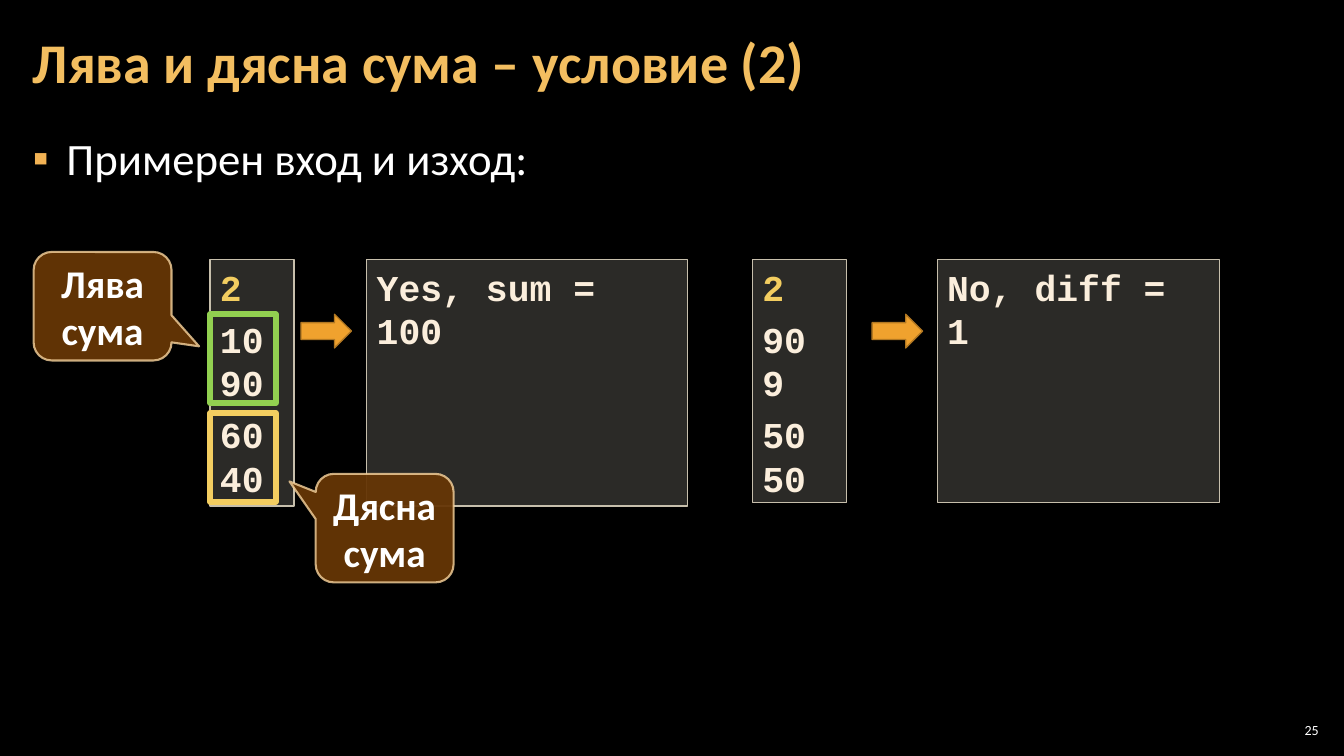
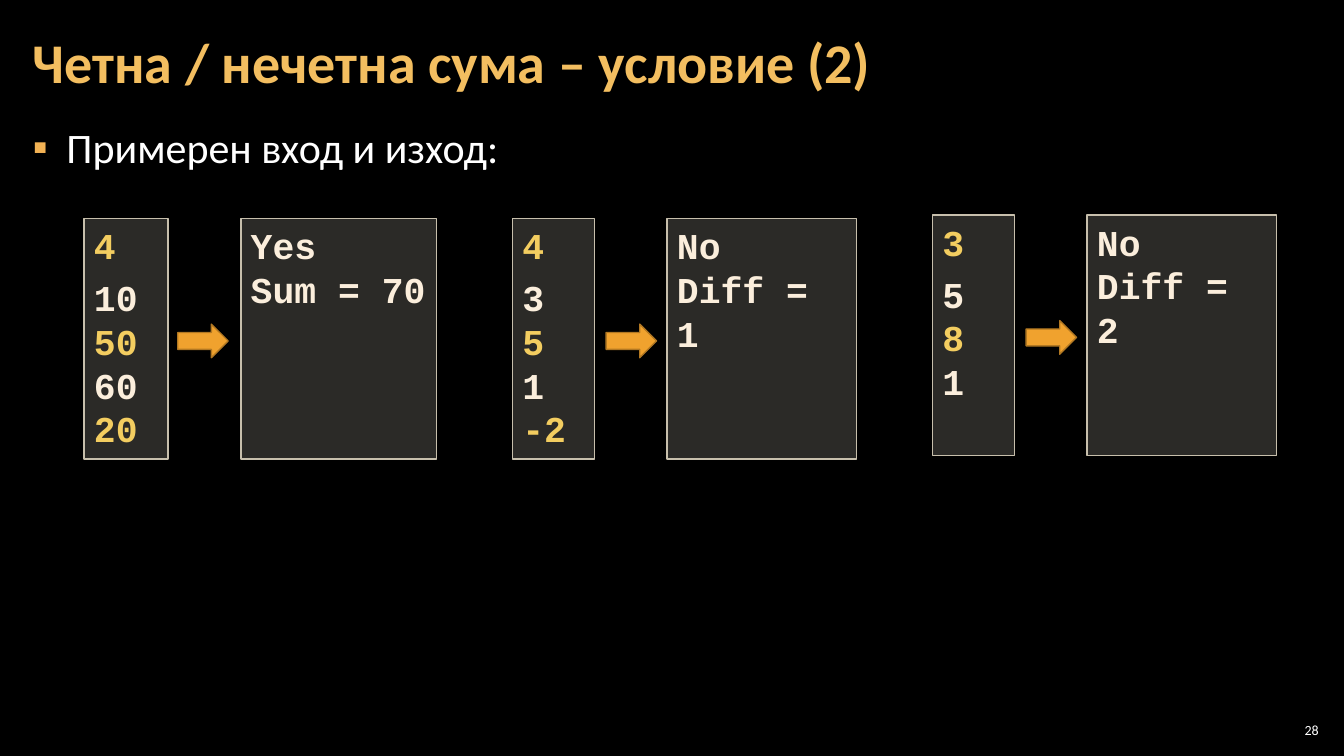
from lxml import etree
from pptx import Presentation
from pptx.dml.color import RGBColor
from pptx.enum import shapes, text
from pptx.oxml import ns
from pptx.util import Pt

BLACK = RGBColor(0x00, 0x00, 0x00)
WHITE = RGBColor(0xFF, 0xFF, 0xFF)
TITLE_GOLD = RGBColor(0xF3, 0xBE, 0x60)
BULLET_ORANGE = RGBColor(0xF2, 0xB2, 0x54)
CODE_CREAM = RGBColor(0xFB, 0xEE, 0xDC)
CODE_YELLOW = RGBColor(0xF3, 0xCD, 0x60)
PANEL_FILL = RGBColor(0xD9, 0xD5, 0xC7)
PANEL_LINE = RGBColor(0xC7, 0xBF, 0xAC)
ARROW_FILL = RGBColor(0xF0, 0xA2, 0x2E)
ARROW_LINE = RGBColor(0xB2, 0x78, 0x22)
CALLOUT_FILL = RGBColor(0x66, 0x36, 0x06)
CALLOUT_LINE = RGBColor(0xF8, 0xD4, 0x9E)
FRAME_GREEN = RGBColor(0x92, 0xD0, 0x50)

BODY_FONT = "Calibri"
CODE_FONT = "Courier New"
SHAPE = shapes.MSO_SHAPE
LEFT, CENTER, RIGHT = (text.PP_ALIGN.LEFT, text.PP_ALIGN.CENTER,
                       text.PP_ALIGN.RIGHT)
TOP, MIDDLE = text.MSO_ANCHOR.TOP, text.MSO_ANCHOR.MIDDLE


# Text helpers
def set_frame(frame, anchor, side, edge):
    frame.word_wrap = True
    frame.auto_size = text.MSO_AUTO_SIZE.NONE
    frame.vertical_anchor = anchor
    frame.margin_left = frame.margin_right = Pt(side)
    frame.margin_top = frame.margin_bottom = Pt(edge)


def add_run(paragraph, words, font, size, color, bold=False):
    run = paragraph.add_run()
    run.text = words
    run.font.name, run.font.size, run.font.bold = font, Pt(size), bold
    run.font.color.rgb = color


def add_label(slide, box, anchor, side):
    label = slide.shapes.add_textbox(*map(Pt, box))
    set_frame(label.text_frame, anchor, side, 3)
    return label.text_frame.paragraphs[0]


# Shape helpers
def set_alpha(shape, fill_tag, percent):
    color = shape._element.spPr.find(fill_tag + "/" + ns.qn("a:srgbClr"))
    alpha = etree.SubElement(color, ns.qn("a:alpha"))
    alpha.set("val", str(percent * 1000))


def add_box(parent, kind, box, fill, line, width):
    shape = parent.shapes.add_shape(kind, *map(Pt, box))
    shape.shadow.inherit = False
    if fill is None:
        shape.fill.background()
    else:
        shape.fill.solid()
        shape.fill.fore_color.rgb = fill
    shape.line.color.rgb = line
    shape.line.width = Pt(width)
    return shape


def add_panel(parent, box, lines):
    """Code panel; each line is (words, colour, space before)."""
    panel = add_box(parent, SHAPE.RECTANGLE, box, PANEL_FILL, PANEL_LINE, 1)
    set_alpha(panel, ns.qn("a:solidFill"), 20)
    frame = panel.text_frame
    set_frame(frame, TOP, 7.2, 3.6)
    for index, (words, color, before) in enumerate(lines):
        paragraph = frame.add_paragraph() if index else frame.paragraphs[0]
        paragraph.alignment = LEFT
        paragraph.space_before = Pt(before)
        add_run(paragraph, words, CODE_FONT, 26, color, True)


def add_example(slide, box, input_width, arrow_at, output_width,
                input_lines, output_lines):
    """Input panel, arrow and output panel; arrow_at is relative to the box."""
    left, top, width, height = box
    group = slide.shapes.add_group_shape()
    add_panel(group, (left, top, input_width, height), input_lines)
    add_panel(group, (left + width - output_width, top, output_width, height),
              [(words, CODE_CREAM, 0) for words in output_lines])
    add_box(group, SHAPE.RIGHT_ARROW,
            (left + arrow_at[0], top + arrow_at[1], 36, 24),
            ARROW_FILL, ARROW_LINE, 1)


def add_callout(slide, box, tip, words):
    callout = add_box(slide, SHAPE.ROUNDED_RECTANGULAR_CALLOUT, box,
                      CALLOUT_FILL, CALLOUT_LINE, 1.5)
    callout.adjustments[0], callout.adjustments[1] = tip
    set_alpha(callout, ns.qn("a:solidFill"), 95)
    set_alpha(callout, ns.qn("a:ln") + "/" + ns.qn("a:solidFill"), 80)
    set_frame(callout.text_frame, MIDDLE, 7.2, 3.6)
    paragraph = callout.text_frame.paragraphs[0]
    paragraph.alignment = CENTER
    add_run(paragraph, words, BODY_FONT, 28, WHITE, True)


# Shared parts of both slides
def add_task_slide(presentation, title, number, bullet_top, bullet_size):
    slide = presentation.slides.add_slide(presentation.slide_layouts[5])

    heading = slide.shapes.title
    heading.left, heading.top = Pt(15), Pt(3)
    heading.width, heading.height = Pt(754), Pt(87)
    set_frame(heading.text_frame, MIDDLE, 8.5, 3)
    paragraph = heading.text_frame.paragraphs[0]
    paragraph.alignment = LEFT
    paragraph.line_spacing = 0.9
    add_run(paragraph, title, BODY_FONT, 40, TITLE_GOLD, True)

    paragraph = add_label(slide, (15, bullet_top, 930, 60), TOP, 8.5)
    paragraph.space_before = paragraph.space_after = Pt(6)
    properties = paragraph._p.get_or_add_pPr()
    properties.set("marL", str(Pt(24)))
    properties.set("indent", str(Pt(-24)))
    bullet_color = etree.SubElement(properties, ns.qn("a:buClr"))
    etree.SubElement(bullet_color, ns.qn("a:srgbClr")).set("val", str(BULLET_ORANGE))
    etree.SubElement(properties, ns.qn("a:buFont")).set("typeface", BODY_FONT)
    etree.SubElement(properties, ns.qn("a:buChar")).set("char", "▪")
    add_run(paragraph, "Примерен вход и изход:", BODY_FONT, bullet_size, WHITE)

    paragraph = add_label(slide, (911, 514, 34, 15), MIDDLE, 3)
    paragraph.alignment = RIGHT
    add_run(paragraph, str(number), BODY_FONT, 10, WHITE)
    return slide


def paired_lines(count, *numbers):
    """A yellow count, then the numbers in two spaced pairs."""
    return [(count, CODE_YELLOW, 0)] + [
        (number, CODE_CREAM, 0 if index % 2 else 6)
        for index, number in enumerate(numbers)]


def alternating_lines(count, *numbers):
    """A yellow count, then numbers with every even one in yellow."""
    return [(count, CODE_YELLOW, 0)] + [
        (number, CODE_YELLOW if index % 2 else CODE_CREAM, 0 if index else 6)
        for index, number in enumerate(numbers)]


def build_left_right_sum(presentation):
    slide = add_task_slide(presentation, "Лява и дясна сума – условие (2)",
                           25, 90.5, 32)
    add_example(slide, (150, 185.5, 341, 176), 60, (65, 39), 229,
                paired_lines("2", "10", "90", "60", "40"), ["Yes, sum = 100"])
    add_example(slide, (537.5, 185.5, 333.5, 173.5), 67, (85.5, 39), 201.5,
                paired_lines("2", "90", "9", "50", "50"), ["No, diff = 1"])

    # Frames around the two halves of the input, with their callouts
    for index, color in enumerate((FRAME_GREEN, CODE_YELLOW)):
        add_box(slide, SHAPE.RECTANGLE, (150, 224.5 + 70.5 * index, 47, 63.5),
                None, color, 4)
    add_callout(slide, (24, 180, 98.5, 77.5), (0.7, 0.37), "Лява сума")
    add_callout(slide, (225.5, 338.5, 98.5, 77.5), (-0.69, -0.43), "Дясна сума")


def build_odd_even_sum(presentation):
    slide = add_task_slide(presentation, "Четна / нечетна сума – условие (2)",
                           28, 84, 30)
    examples = [
        ((60, 156, 252, 172), 60, 140,
         ("4", "10", "50", "60", "20"), ["Yes", "Sum = 70"]),
        ((366, 156, 246, 172), 58.5, 135.5,
         ("4", "3", "5", "1", "-2"), ["No", "Diff = 1"]),
        ((666, 153.5, 246, 172), 58.5, 135.5,
         ("3", "5", "8", "1"), ["No", "Diff = 2"]),
    ]
    for box, input_width, output_width, numbers, output_lines in examples:
        add_example(slide, box, input_width, (67, 75.5), output_width,
                    alternating_lines(*numbers), output_lines)


def main():
    presentation = Presentation()
    presentation.slide_width, presentation.slide_height = Pt(960), Pt(540)
    background = presentation.slide_master.background.fill
    background.solid()
    background.fore_color.rgb = BLACK
    build_left_right_sum(presentation)
    build_odd_even_sum(presentation)
    presentation.save("out.pptx")


if __name__ == "__main__":
    main()
